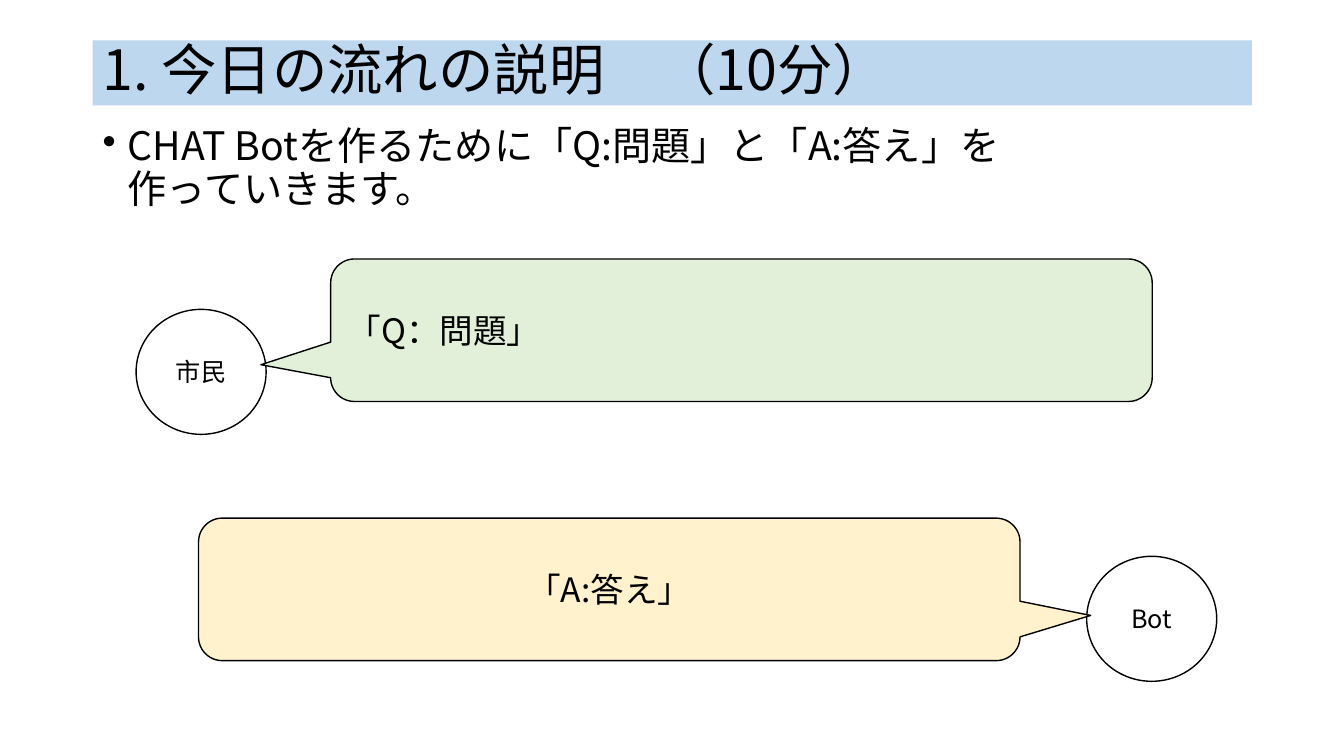
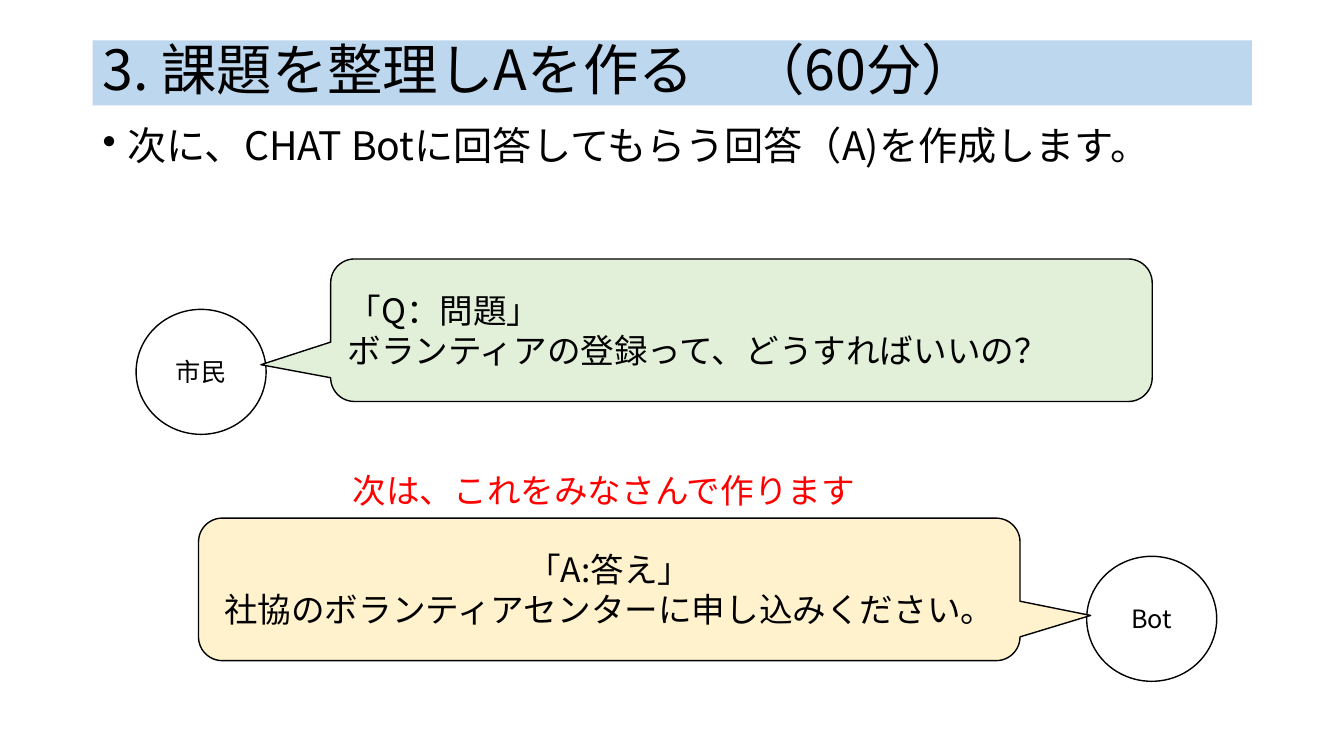
from lxml.etree import SubElement
from pptx import Presentation
from pptx.dml.color import RGBColor
from pptx.enum.shapes import MSO_SHAPE as Shape
from pptx.enum.text import MSO_ANCHOR as Anchor, PP_ALIGN as Align
from pptx.oxml.ns import qn
from pptx.util import Pt

FONT = "Noto Sans CJK JP"
BLACK = RGBColor(0x00, 0x00, 0x00)
WHITE = RGBColor(0xFF, 0xFF, 0xFF)
RED = RGBColor(0xFF, 0x00, 0x00)
TITLE_BLUE = RGBColor(0xBD, 0xD7, 0xEE)
QUESTION_GREEN = RGBColor(0xE2, 0xF0, 0xD9)
ANSWER_YELLOW = RGBColor(0xFF, 0xF2, 0xCC)

LEFT, WIDTH = 66.24, 828
CIRCLE = (92.9, 89.3)
CALLOUT = (586.8, 101.8)


def write(box, text, size, color=BLACK, align=Align.LEFT, anchor=Anchor.MIDDLE):
    box.text_frame.word_wrap = True
    box.text_frame.vertical_anchor = anchor
    para = box.text_frame.paragraphs[0]
    para.text = text
    para.alignment = align
    para.font.size = Pt(size)
    para.font.color.rgb = color
    para.font.name = FONT
    defaults = para._p.pPr.find(qn("a:defRPr"))
    SubElement(defaults, qn("a:ea"), typeface=FONT)
    return para


def add_box(page, kind, left, top, width, height, fill, outline=True):
    box = page.shapes.add_shape(kind, Pt(left), Pt(top), Pt(width), Pt(height))
    box.shadow.inherit = False
    box.fill.solid()
    box.fill.fore_color.rgb = fill
    if outline:
        box.line.color.rgb = BLACK
        box.line.width = Pt(1)
    else:
        box.line.fill.background()
    return box


deck = Presentation()
deck.slide_width, deck.slide_height = Pt(960), Pt(540)

lessons = [
    ("1. 今日の流れの説明\u3000（10分）",
     "CHAT Botを作るために「Q:問題」と「A:答え」を\n作っていきます。",
     "「Q：問題」", "「A:答え」", None),
    ("3. 課題を整理しAを作る\u3000（60分）",
     "次に、CHAT Botに回答してもらう回答（A)を作成します。",
     "「Q：問題」\nボランティアの登録って、どうすればいいの？",
     "「A:答え」\n社協のボランティアセンターに申し込みください。",
     "次は、これをみなさんで作ります"),
]

for title, intro, question, answer, hint in lessons:
    page = deck.slides.add_slide(deck.slide_layouts[6])

    band = add_box(page, Shape.RECTANGLE, LEFT, 28.8, WIDTH, 46.5, TITLE_BLUE, outline=False)
    write(band, title, 39.6).line_spacing = 0.9

    body = page.shapes.add_textbox(Pt(LEFT), Pt(87.1), Pt(WIDTH), Pt(399.6))
    para = write(body, intro, 28, anchor=Anchor.TOP)
    para.line_spacing = 0.9
    para.space_before = Pt(10)
    properties = para._p.pPr
    properties.set("marL", str(Pt(18)))
    properties.set("indent", str(Pt(-18)))
    bullet = SubElement(properties, qn("a:buChar"), char="•")
    properties.find(qn("a:defRPr")).addprevious(bullet)

    for speaker, left, top in (("市民", 97.2, 221), ("Bot", 776.2, 397.4)):
        circle = add_box(page, Shape.OVAL, left, top, *CIRCLE, WHITE)
        write(circle, speaker, 18, align=Align.CENTER)

    for text, left, top, fill, tip, align in (
        (question, 236.2, 185, QUESTION_GREEN, (-0.585, 0.242), Align.LEFT),
        (answer, 141.8, 370.1, ANSWER_YELLOW, (0.586, 0.183), Align.CENTER),
    ):
        callout = add_box(page, Shape.ROUNDED_RECTANGULAR_CALLOUT, left, top, *CALLOUT, fill)
        callout.adjustments[0], callout.adjustments[1] = tip
        write(callout, text, 24, align=align)

    if hint:
        label = page.shapes.add_textbox(Pt(244.8), Pt(331.9), Pt(378), Pt(36))
        write(label, hint, 24, RED, anchor=Anchor.TOP)
        label.text_frame.word_wrap = False

deck.save("out.pptx")
